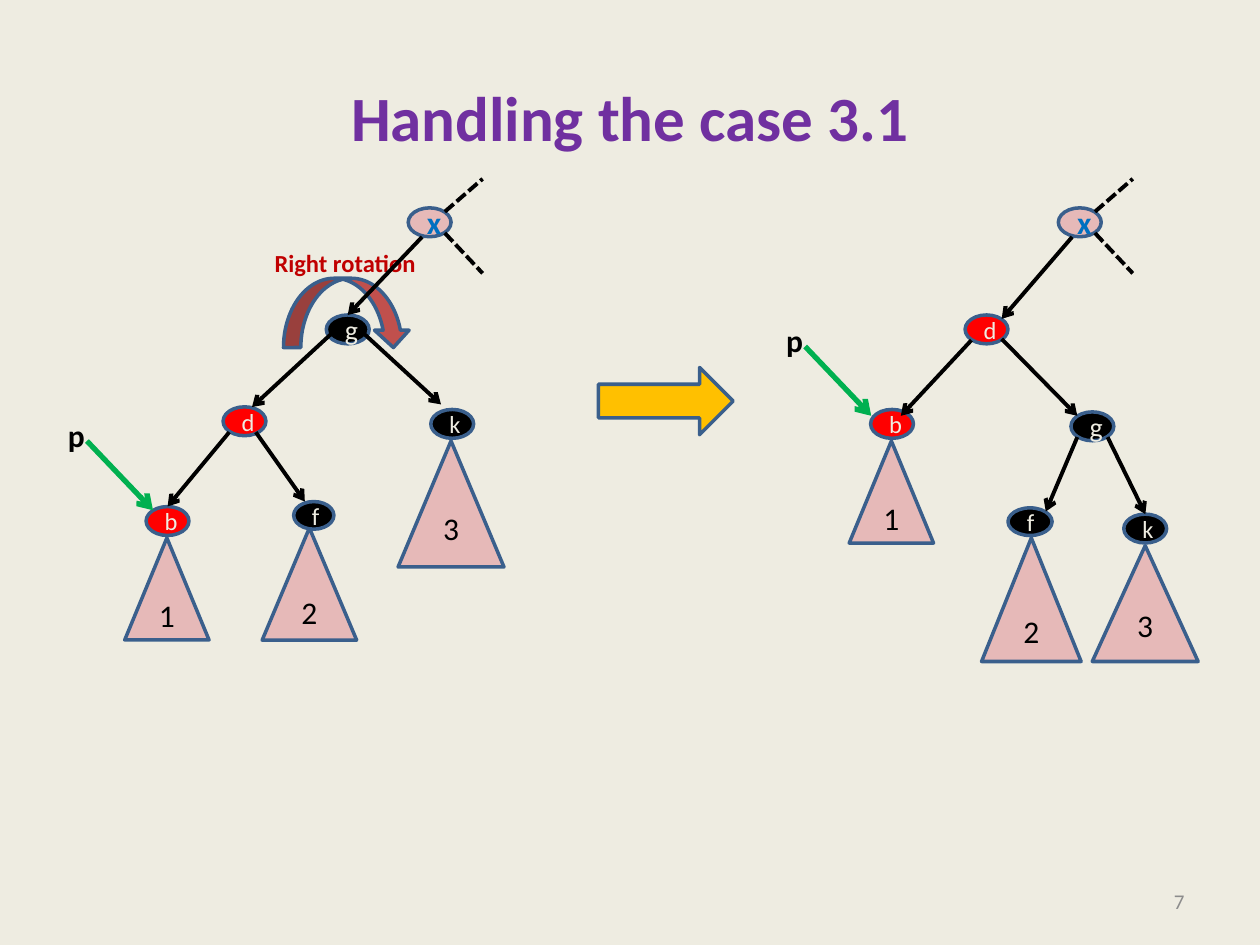
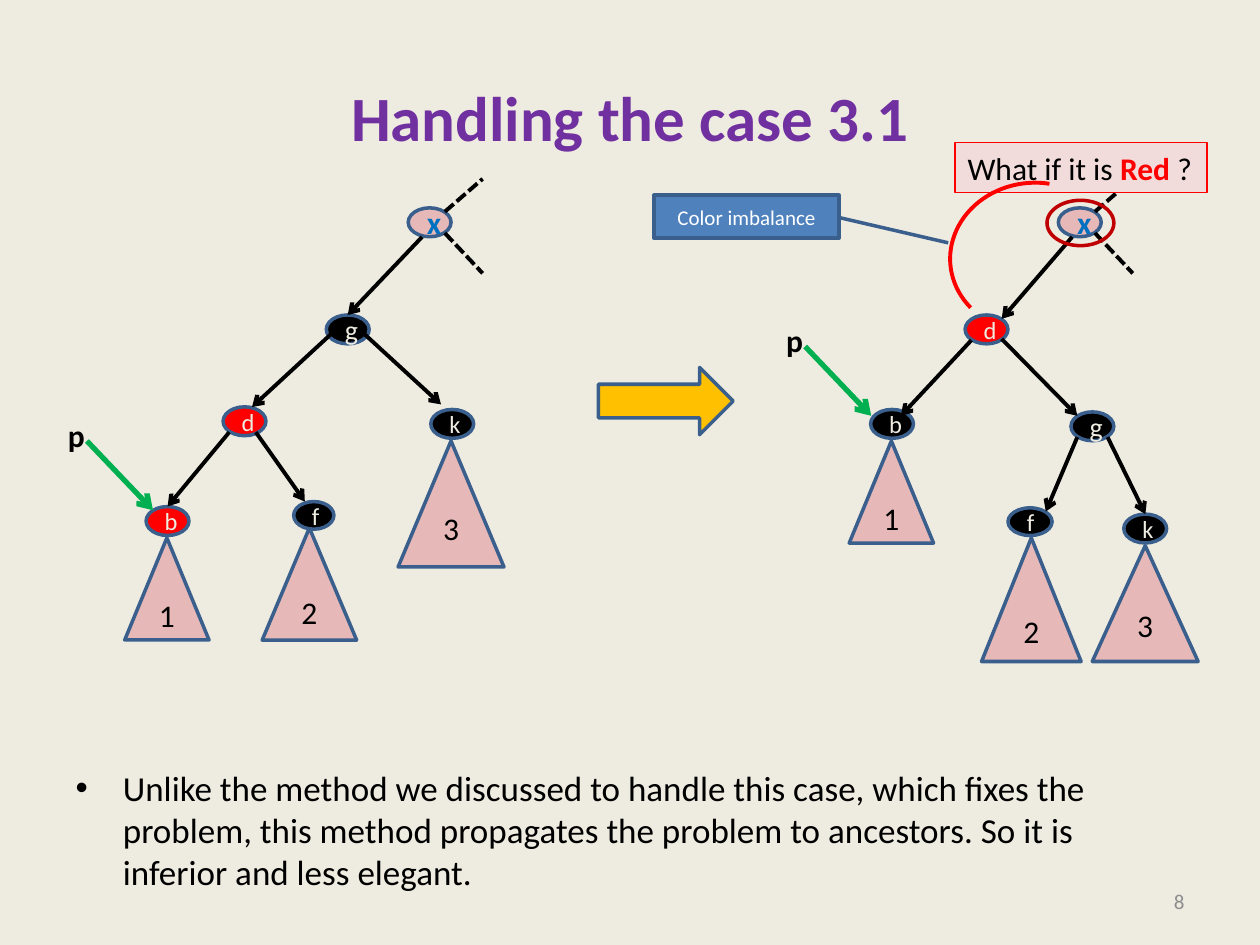
from dataclasses import dataclass

from lxml.etree import SubElement
from pptx import Presentation
from pptx.dml.color import RGBColor
from pptx.enum.dml import MSO_LINE
from pptx.enum.shapes import MSO_CONNECTOR, MSO_SHAPE as Preset
from pptx.enum.text import MSO_ANCHOR as Anchor, MSO_AUTO_SIZE, PP_ALIGN as Align
from pptx.oxml.ns import qn
from pptx.util import Pt

# Shared look
FONT = "Calibri"
CREAM = RGBColor(0xEE, 0xEC, 0xE1)
PURPLE = RGBColor(0x70, 0x30, 0xA0)
GRAY = RGBColor(0x8C, 0x8C, 0x8C)
BLACK = RGBColor(0, 0, 0)
WHITE = RGBColor(0xFF, 0xFF, 0xFF)
RED = RGBColor(0xFF, 0, 0)
DARK_RED = RGBColor(0xC0, 0, 0)
BRICK = RGBColor(0xC0, 0x50, 0x4D)
PINK = RGBColor(0xE6, 0xB9, 0xB8)
PALE_PINK = RGBColor(0xF2, 0xDC, 0xDB)
GOLD = RGBColor(0xFF, 0xC0, 0)
GREEN = RGBColor(0, 0xB0, 0x50)
TEXT_BLUE = RGBColor(0, 0x70, 0xC0)
BLUE = RGBColor(0x4F, 0x81, 0xBD)
OUTLINE = RGBColor(0x3A, 0x5F, 0x8C)

RIGHT_SHIFT = 371.5  # from the tree before the rotation to the tree after it

Point = tuple[float, float]


@dataclass(frozen=True)
class Node:
    key: str
    left: float
    top: float
    fill: RGBColor = BLACK
    color: RGBColor = CREAM
    size: float = 14
    bold: bool = False
    width: float = 24.5
    height: float = 16.5


@dataclass(frozen=True)
class Subtree:
    number: str
    left: float
    top: float
    width: float
    height: float
    bottom_inset: float = 3.6


@dataclass(frozen=True)
class Edge:
    start: Point
    end: Point


@dataclass(frozen=True)
class Tree:
    root_shift: float
    nodes: list[Node]
    subtrees: list[Subtree]
    edges: list[Edge]
    pointer: Point


BEFORE = Tree(
    root_shift=0,
    nodes=[
        Node("g", 186.5, 180, size=16),
        Node("d", 127.5, 232.5, RED),
        Node("b", 83.5, 289.5, RED),
        Node("k", 246.2, 234),
        Node("f", 167.8, 286.6, width=23, height=15.8),
    ],
    subtrees=[
        Subtree("1", 71.3, 307.4, 48.2, 58.3),
        Subtree("2", 149.8, 301.7, 54, 64.1),
        Subtree("3", 227.5, 252, 60.5, 72, bottom_inset=12),
    ],
    edges=[
        Edge((241.2, 135.4), (198.7, 180)),
        Edge((190.8, 189.4), (144, 232.6)),
        Edge((206.6, 189.4), (252, 231.1)),
        Edge((131, 247), (95.8, 289.4)),
        Edge((146.2, 247), (174.2, 286.6)),
    ],
    pointer=(31.7, 234),
)


def after_rotation(b_fill: RGBColor) -> Tree:
    return Tree(
        root_shift=RIGHT_SHIFT,
        nodes=[
            Node("d", 551.5, 180, RED),
            Node("b", 497.5, 234, b_fill),
            Node("g", 612, 235.4, size=16),
            Node("f", 576, 290.2, width=25.2, height=15.8),
            Node("k", 642.2, 293.8),
        ],
        subtrees=[
            Subtree("1", 485.3, 252, 48.2, 58.3),
            Subtree("2", 560.9, 307.4, 56.9, 70.6),
            Subtree("3", 624.2, 311.8, 60.5, 66.2, bottom_inset=12),
        ],
        edges=[
            Edge((612.7, 135.4), (572.4, 182.2)),
            Edge((572.4, 193.7), (615.6, 237.6)),
            Edge((555.1, 194.4), (514.8, 237.6)),
            Edge((615.6, 249.8), (597.6, 292.3)),
            Edge((632.9, 249.8), (654.5, 293.8)),
        ],
        pointer=(442.1, 180),
    )


# Drawing helpers
def write(frame, text: str, *, size: float, color: RGBColor = BLACK, bold: bool = False,
          align=Align.CENTER, anchor=Anchor.MIDDLE, wrap: bool = True) -> None:
    """Append a run to the first paragraph and format it."""
    frame.word_wrap = wrap
    frame.vertical_anchor = anchor
    paragraph = frame.paragraphs[0]
    paragraph.alignment = align
    run = paragraph.add_run()
    run.text = text
    run.font.name = FONT
    run.font.size = Pt(size)
    run.font.bold = bold
    run.font.color.rgb = color


def add_preset(shapes, preset, left: float, top: float, width: float, height: float, *,
               fill: RGBColor | None = None, line: RGBColor = OUTLINE, weight: float = 2):
    shape = shapes.add_shape(preset, Pt(left), Pt(top), Pt(width), Pt(height))
    shape.shadow.inherit = False
    if fill is None:
        shape.fill.background()
    else:
        shape.fill.solid()
        shape.fill.fore_color.rgb = fill
    shape.line.color.rgb = line
    shape.line.width = Pt(weight)
    return shape


def add_label(shapes, text: str, left: float, top: float, width: float, height: float, **style) -> None:
    box = shapes.add_textbox(Pt(left), Pt(top), Pt(width), Pt(height))
    write(box.text_frame, text, **style)


def add_line(shapes, start: Point, end: Point, *, color: RGBColor = BLACK,
             weight: float = 2.25, dashed: bool = False) -> None:
    """Draw a dashed line, or a solid one with an arrowhead."""
    line = shapes.add_connector(MSO_CONNECTOR.STRAIGHT, *(Pt(v) for v in start + end))
    line.line.color.rgb = color
    line.line.width = Pt(weight)
    if dashed:
        line.line.dash_style = MSO_LINE.SQUARE_DOT
    else:
        SubElement(line.line._get_or_add_ln(), qn("a:tailEnd"), type="arrow")
    SubElement(line._element.spPr, qn("a:effectLst"))


def draw_node(shapes, node: Node) -> None:
    oval = add_preset(shapes, Preset.OVAL, node.left, node.top, node.width, node.height, fill=node.fill)
    write(oval.text_frame, node.key, size=node.size, color=node.color, bold=node.bold)


def draw_pointer(shapes, left: float, top: float) -> None:
    add_line(shapes, (left + 18, top + 18), (left + 55.75, top + 57.6), color=GREEN, weight=3)
    add_label(shapes, "p", left, top, 24.5, 28.8, size=18, bold=True,
              align=Align.LEFT, anchor=Anchor.TOP, wrap=False)


def draw_tree(slide, tree: Tree) -> None:
    shapes = slide.shapes.add_group_shape().shapes
    # Parent x with its dashed surroundings
    x = 233.3 + tree.root_shift
    draw_node(shapes, Node("x", x, 118.8, PINK, TEXT_BLUE, size=18, bold=True))
    for start_y, end_y in ((121, 102.2), (133.2, 156.2)):
        add_line(shapes, (x + 20.9, start_y), (x + 42.5, end_y), dashed=True)
    for subtree in tree.subtrees:
        triangle = add_preset(shapes, Preset.ISOSCELES_TRIANGLE, subtree.left, subtree.top,
                              subtree.width, subtree.height, fill=PINK)
        triangle.text_frame.margin_bottom = Pt(subtree.bottom_inset)
        write(triangle.text_frame, subtree.number, size=18)
    for node in tree.nodes:
        draw_node(shapes, node)
    for edge in tree.edges:
        add_line(shapes, edge.start, edge.end)
    draw_pointer(shapes, *tree.pointer)


def start_slide(deck, layout: int, number: int):
    """Add a slide with the title, the page number and the step arrow."""
    slide = deck.slides.add_slide(deck.slide_layouts[layout])
    title = slide.shapes.title
    title.left, title.top, title.width, title.height = Pt(36), Pt(21.6), Pt(648), Pt(90)
    write(title.text_frame, "Handling the case 3.1", size=36, color=PURPLE, bold=True)
    add_label(slide.shapes, str(number), 516, 500.5, 168, 28.8, size=12, color=GRAY, align=Align.RIGHT)
    add_preset(slide.shapes, Preset.RIGHT_ARROW, 342, 210, 77, 38.4, fill=GOLD)
    return slide


def draw_rotation(slide) -> None:
    add_preset(slide.shapes, Preset.CURVED_DOWN_ARROW, 162, 159, 72.7, 39.6, fill=BRICK)
    add_label(slide.shapes, "Right rotation", 149.8, 138.2, 95.8, 24.5, size=14, color=DARK_RED,
              bold=True, align=Align.LEFT, anchor=Anchor.TOP, wrap=False)


def draw_imbalance(slide) -> None:
    # Question about the colour of x
    add_preset(slide.shapes, Preset.OVAL, 598.3, 114.5, 38.2, 25.9, line=DARK_RED)
    question = add_preset(slide.shapes, Preset.RECTANGLE, 545.8, 81.4, 144, 28.8,
                          fill=PALE_PINK, line=RED, weight=0.75).text_frame
    for text, color, bold in (("What if it is ", BLACK, False), ("Red ", RED, True), ("?", BLACK, False)):
        write(question, text, size=18, color=color, bold=bold, align=Align.LEFT, anchor=Anchor.TOP)
    # Callout and the arc between d and x
    callout = add_preset(slide.shapes, Preset.LINE_CALLOUT_1, 373.7, 111.6, 105.8, 24.5, fill=BLUE)
    arc = add_preset(slide.shapes, Preset.ARC, 542.9, 104.4, 95.8, 85.7, line=RED, weight=2.25)
    arc.rotation = 176.1
    for shape, adjustments in ((callout, (0.52, 1, 1.11, 1.59)), (arc, (195.35, 63.47))):
        for index, value in enumerate(adjustments):
            shape.adjustments[index] = value
    write(callout.text_frame, "Color imbalance", size=12, color=WHITE)


def write_remark(slide) -> None:
    body = slide.placeholders[1]
    body.left, body.top, body.width, body.height = Pt(36), Pt(434.5), Pt(648), Pt(82)
    body.text_frame.auto_size = MSO_AUTO_SIZE.NONE
    body.text_frame.paragraphs[0].space_before = Pt(0)
    write(body.text_frame,
          "Unlike the method we discussed to handle this case, which fixes the problem, this method "
          "propagates the problem to ancestors. So it is inferior and less elegant.",
          size=20, align=Align.LEFT, anchor=Anchor.TOP)


deck = Presentation()
deck.slide_width, deck.slide_height = Pt(720), Pt(540)
backdrop = deck.slide_master.background.fill
backdrop.solid()
backdrop.fore_color.rgb = CREAM

# Slide 7: the rotation
rotation = start_slide(deck, layout=5, number=7)
draw_rotation(rotation)
draw_tree(rotation, BEFORE)
draw_tree(rotation, after_rotation(b_fill=RED))

# Slide 8: the recolouring and what it costs
recolouring = start_slide(deck, layout=1, number=8)
write_remark(recolouring)
draw_tree(recolouring, BEFORE)
draw_tree(recolouring, after_rotation(b_fill=BLACK))
draw_imbalance(recolouring)

deck.save("out.pptx")
